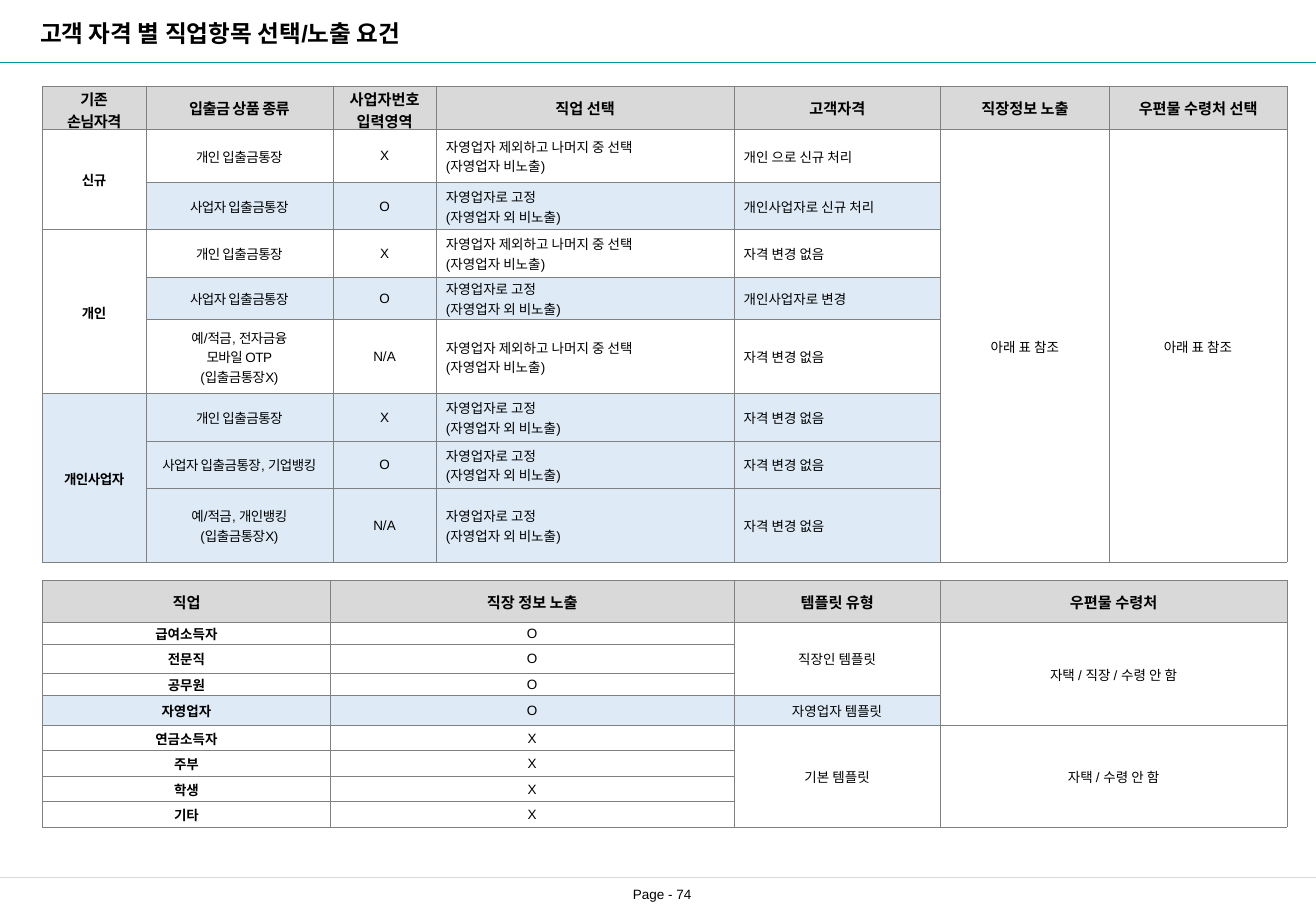
from dataclasses import dataclass

from lxml.etree import SubElement
from pptx import Presentation
from pptx.dml.color import RGBColor
from pptx.enum.shapes import MSO_CONNECTOR
from pptx.enum.text import MSO_ANCHOR, MSO_AUTO_SIZE, PP_ALIGN
from pptx.oxml.ns import qn
from pptx.slide import Slide
from pptx.table import _Cell
from pptx.util import Inches, Pt


@dataclass(frozen=True)
class Theme:
    font: str = "Arial"
    ink: str = "000000"
    head: str = "D9D9D9"
    tint: str = "DEEBF7"
    grid: str = "808080"
    teal: str = "009999"
    foot: str = "D9D9D9"
    title_pt: float = 14
    head_pt: float = 9
    body_pt: float = 8
    thin_pt: float = 0.25


@dataclass(frozen=True)
class Rule:
    y: float
    color: str
    width: float


@dataclass(frozen=True)
class Grid:
    top: float
    cols: list[float]
    heights: list[float]
    rows: list[list[str]]  # an empty text continues the cell above
    tinted: set[int]
    left: tuple[int, ...] = ()  # columns with left-aligned body text
    tight: int = 0  # leading columns with condensed letters


THEME = Theme()
WIDTH, HEIGHT = 10.83, 7.5
EDGE = 0.35

OTHERS = "자영업자 제외하고 나머지 중 선택\n(자영업자 비노출)"
FIXED = "자영업자로 고정\n(자영업자 외 비노출)"
SOLO, FIRM = "개인 입출금통장", "사업자 입출금통장"
SAME, BELOW = "자격 변경 없음", "아래 표 참조"

STATUS = Grid(
    top=0.71,
    cols=[0.85, 1.54, 0.85, 2.45, 1.7, 1.39, 1.46],
    heights=[0.35, 0.44, 0.39, 0.39, 0.35, 0.61, 0.39, 0.39, 0.61],
    rows=[
        ["기존\n손님자격", "입출금 상품 종류", "사업자번호\n입력영역", "직업 선택",
         "고객자격", "직장정보 노출", "우편물 수령처 선택"],
        ["신규", SOLO, "X", OTHERS, "개인 으로 신규 처리", BELOW, BELOW],
        ["", FIRM, "O", FIXED, "개인사업자로 신규 처리", "", ""],
        ["개인", SOLO, "X", OTHERS, SAME, "", ""],
        ["", FIRM, "O", FIXED, "개인사업자로 변경", "", ""],
        ["", "예/적금, 전자금융\n모바일 OTP\n(입출금통장X)", "N/A", OTHERS, SAME, "", ""],
        ["개인사업자", SOLO, "X", FIXED, SAME, "", ""],
        ["", "사업자 입출금통장, 기업뱅킹", "O", FIXED, SAME, "", ""],
        ["", "예/적금, 개인뱅킹\n(입출금통장X)", "N/A", FIXED, SAME, "", ""],
    ],
    tinted={2, 4, 6, 7, 8},
    left=(3, 4),
    tight=2,
)

JOBS = Grid(
    top=4.78,
    cols=[2.37, 3.32, 1.7, 2.85],
    heights=[0.34, 0.18, 0.24, 0.18, 0.25] + [0.21] * 4,
    rows=[
        ["직업", "직장 정보 노출", "템플릿 유형", "우편물 수령처"],
        ["급여소득자", "O", "직장인 템플릿", "자택 / 직장 / 수령 안 함"],
        ["전문직", "O", "", ""],
        ["공무원", "O", "", ""],
        ["자영업자", "O", "자영업자 템플릿", ""],
        ["연금소득자", "X", "기본 템플릿", "자택 / 수령 안 함"],
        ["주부", "X", "", ""],
        ["학생", "X", "", ""],
        ["기타", "X", "", ""],
    ],
    tinted={4},
)

RULES = [Rule(7.22, THEME.foot, 0.5), Rule(0.51, THEME.teal, THEME.thin_pt)]


def style(frame, size: float, bold: bool, align: PP_ALIGN) -> None:
    for para in frame.paragraphs:
        para.alignment = align
        font = para.font
        font.name, font.size, font.bold = THEME.font, Pt(size), bold
        font.color.rgb = RGBColor.from_string(THEME.ink)


def condense(frame) -> None:
    for para in frame.paragraphs:
        para._p.pPr.find(qn("a:defRPr")).set("spc", "-30")


def border(cell: _Cell) -> None:
    props = cell._tc.get_or_add_tcPr()
    for side in ("lnL", "lnR", "lnT", "lnB"):
        line = SubElement(props, qn(f"a:{side}"), w=str(Pt(THEME.thin_pt)))
        fill = SubElement(line, qn("a:solidFill"))
        SubElement(fill, qn("a:srgbClr"), val=THEME.grid)


def paint(cell: _Cell, color: str) -> None:
    if color:
        cell.fill.solid()
        cell.fill.fore_color.rgb = RGBColor.from_string(color)
    else:
        cell.fill.background()


def draw_rule(slide: Slide, rule: Rule) -> None:
    y = Inches(rule.y)
    line = slide.shapes.add_connector(MSO_CONNECTOR.STRAIGHT, 0, y, Inches(WIDTH), y)
    line.line.color.rgb = RGBColor.from_string(rule.color)
    line.line.width = Pt(rule.width)
    SubElement(line._element.spPr, qn("a:effectLst"))


def draw_cell(cell: _Cell, grid: Grid, row: int, col: int) -> None:
    text, head = grid.rows[row][col], row == 0
    left = col in grid.left and not head
    border(cell)
    paint(cell, THEME.head if head else THEME.tint if text and row in grid.tinted else "")
    cell.vertical_anchor = MSO_ANCHOR.MIDDLE
    cell.margin_left = Inches(0.08 if left else 0.01)
    cell.margin_right = cell.margin_top = Inches(0.01)
    cell.margin_bottom = 0
    cell.text = text
    frame = cell.text_frame
    style(frame, THEME.head_pt if head else THEME.body_pt, head or col == 0,
          PP_ALIGN.LEFT if left else PP_ALIGN.CENTER)
    if col < grid.tight:
        condense(frame)


def draw_grid(slide: Slide, grid: Grid) -> None:
    count = len(grid.rows)
    table = slide.shapes.add_table(
        count, len(grid.cols), Inches(EDGE), Inches(grid.top),
        Inches(sum(grid.cols)), Inches(sum(grid.heights))).table
    table.first_row = table.horz_banding = False
    for row, size in enumerate(grid.heights):
        table.rows[row].height = Inches(size)
    for col, size in enumerate(grid.cols):
        table.columns[col].width = Inches(size)
        for row in range(count):
            draw_cell(table.cell(row, col), grid, row, col)
        # Join each text with the empty cells below it
        starts = [row for row in range(count) if grid.rows[row][col]]
        for start, after in zip(starts, starts[1:] + [count]):
            if after - start > 1:
                table.cell(start, col).merge(table.cell(after - 1, col))


def main() -> None:
    deck = Presentation()
    deck.slide_width, deck.slide_height = Inches(WIDTH), Inches(HEIGHT)
    slide = deck.slides.add_slide(deck.slide_layouts[5])

    # Title
    title = slide.shapes.title
    title.left, title.top = Inches(0.22), Inches(0.1)
    title.width, title.height = Inches(8.75), Inches(0.34)
    frame = title.text_frame
    frame.text = "고객 자격 별 직업항목 선택/노출 요건"
    frame.auto_size = MSO_AUTO_SIZE.NONE
    frame.vertical_anchor = MSO_ANCHOR.MIDDLE
    frame.margin_left = frame.margin_right = Inches(0.11)
    frame.margin_top = frame.margin_bottom = Inches(0.05)
    style(frame, THEME.title_pt, True, PP_ALIGN.LEFT)

    # Rules and page number
    for rule in RULES:
        draw_rule(slide, rule)
    page = slide.shapes.add_textbox(Inches(5.1), Inches(7.22), Inches(0.7), Inches(0.28))
    frame = page.text_frame
    frame.text = "Page - 74"
    frame.word_wrap = False
    frame.vertical_anchor = MSO_ANCHOR.MIDDLE
    frame.margin_left = frame.margin_right = 0
    style(frame, THEME.body_pt, False, PP_ALIGN.CENTER)

    # Tables
    for grid in (STATUS, JOBS):
        draw_grid(slide, grid)
    deck.save("out.pptx")


if __name__ == "__main__":
    main()
